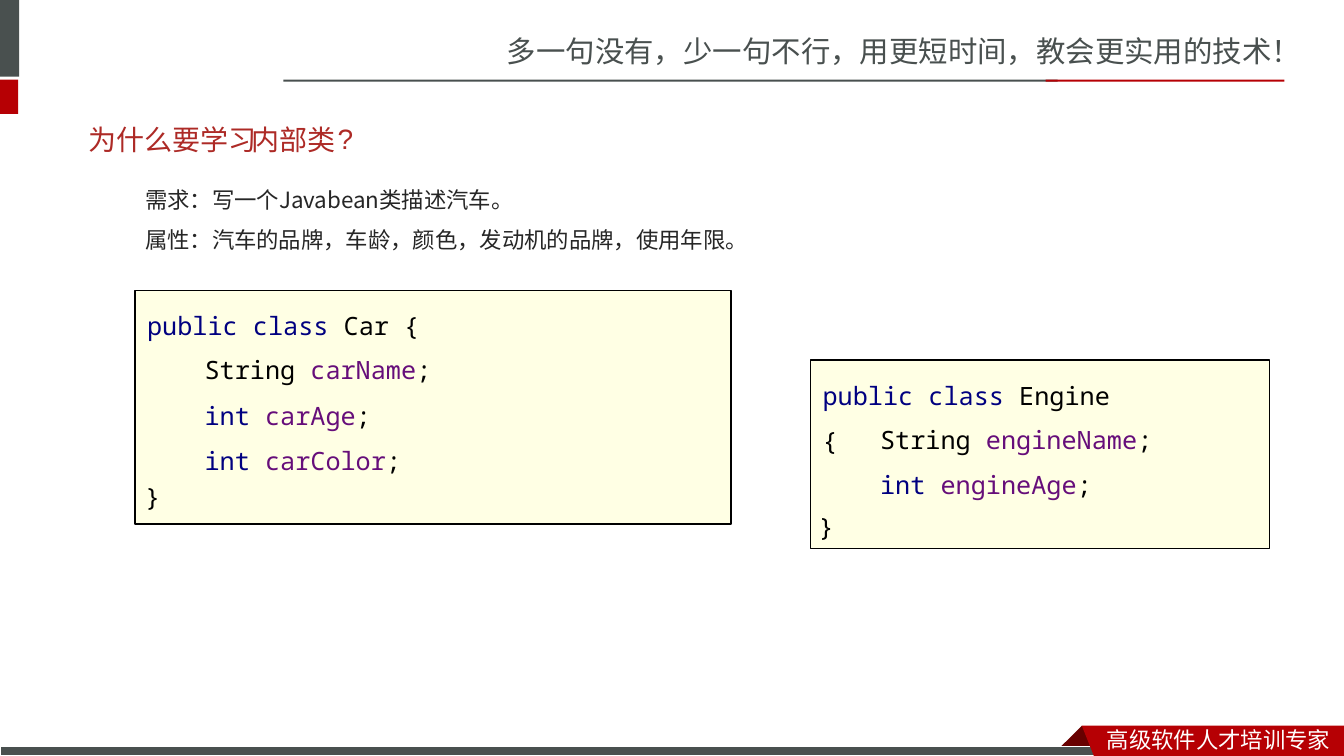
from dataclasses import dataclass

from lxml import etree
from pptx import Presentation
from pptx.dml.color import RGBColor
from pptx.enum import shapes, text
from pptx.oxml import ns
from pptx.util import Inches, Pt

GREY = RGBColor(0x49, 0x50, 0x4F)
RED = RGBColor(0xB6, 0x00, 0x04)
DARK_RED = RGBColor(0x68, 0x00, 0x00)
TITLE_RED = RGBColor(0xAD, 0x2A, 0x26)
INK = RGBColor(0x26, 0x26, 0x26)
WHITE = RGBColor(0xFF, 0xFF, 0xFF)
BLACK = RGBColor(0x00, 0x00, 0x00)
CREAM = RGBColor(0xFF, 0xFF, 0xE4)
KEYWORD = RGBColor(0x00, 0x00, 0x80)
FIELD = RGBColor(0x66, 0x0E, 0x7A)

SANS = "Noto Sans CJK SC"
BODY = "Noto Sans CJK JP"
MONO = "Noto Sans Mono"

Box = tuple[float, float, float, float]
Line = list[tuple[str, RGBColor]]


@dataclass
class Bar:
    box: Box
    fill: RGBColor
    outline: RGBColor | None = None
    weight: float = 0.75


@dataclass
class Ribbon:
    points: list[tuple[float, float]]
    fill: RGBColor


@dataclass
class Label:
    box: Box
    lines: list[Line]
    font: str
    size: float
    spacing: float = 1.0
    anchor: text.MSO_ANCHOR = text.MSO_ANCHOR.TOP


@dataclass
class CodeCard:
    """A Java class on a panel; fields are (type, name) pairs."""
    box: Box
    class_name: str
    fields: list[tuple[str, str]]
    brace: tuple[float, float]


BARS = [
    Bar((0, 0, 0.19, 0.76), GREY),
    Bar((0, 0.79, 0.18, 0.34), RED),
    Bar((2.81, 0.79, 7.68, 0.02), GREY),
    Bar((10.37, 0.79, 2.37, 0.02), RED),
]
FOOTER_BAR = Bar((0, 7.41, 10.99, 0.09), GREY, WHITE)
RIBBON_FOLD = Ribbon([(10.73, 7.2), (10.95, 7.42), (10.94, 7.43),
                      (10.52, 7.43), (10.51, 7.42)], DARK_RED)
RIBBON_FRONT = Ribbon([(10.73, 7.2), (13.33, 7.2), (13.33, 7.5), (10.85, 7.5)], RED)

MIDDLE = text.MSO_ANCHOR.MIDDLE
LABELS = [
    Label((4.93, 0.28, 8.4, 0.47),
          [[("多一句没有，少一句不行，用更短时间，教会更实用的技术！", GREY)]], SANS, 21),
    Label((10.88, 7.15, 2.45, 0.35), [[("高级软件人才培训专家", WHITE)]], SANS, 16),
    Label((2.4, 1.1, 1.05, 0.57), [[("内部类", TITLE_RED)]], "Arial", 20, anchor=MIDDLE),
    Label((0.78, 1.1, 1.91, 0.57), [[("为什么要学习", TITLE_RED)]], "Arial", 20, anchor=MIDDLE),
    Label((3.25, 1.09, 0.47, 0.57), [[("?", TITLE_RED)]], "Arial", 20, anchor=MIDDLE),
    Label((1.34, 1.66, 8.38, 0.87),
          [[("需求：写一个Javabean类描述汽车。", INK)],
           [("属性：汽车的品牌，车龄，颜色，发动机的品牌，使用年限。", INK)]], BODY, 16, 1.5),
]
CARDS = [
    CodeCard((8.04, 3.57, 4.55, 1.87), "Engine",
             [("String", "engineName"), ("int", "engineAge")], (8.02, 5.02)),
    CodeCard((1.34, 2.88, 5.91, 2.32), "Car",
             [("String", "carName"), ("int", "carAge"), ("int", "carColor")], (1.34, 4.73)),
]


def paint(shape, fill: RGBColor, outline: RGBColor | None = None, weight: float = 0.75) -> None:
    shape.shadow.inherit = False
    shape.fill.solid()
    shape.fill.fore_color.rgb = fill
    if outline is None:
        shape.line.fill.background()
    else:
        shape.line.color.rgb = outline
        shape.line.width = Pt(weight)


def draw_bar(page, bar: Bar) -> None:
    place = [Inches(value) for value in bar.box]
    shape = page.shapes.add_shape(shapes.MSO_SHAPE.RECTANGLE, *place)
    paint(shape, bar.fill, bar.outline, bar.weight)


def draw_ribbon(page, ribbon: Ribbon) -> None:
    points = [(Inches(x), Inches(y)) for x, y in ribbon.points]
    builder = page.shapes.build_freeform(*points[0], scale=1.0)
    builder.add_line_segments(points[1:], close=True)
    paint(builder.convert_to_shape(), ribbon.fill)


def draw_label(page, label: Label) -> None:
    frame = page.shapes.add_textbox(*[Inches(value) for value in label.box]).text_frame
    frame.word_wrap = True
    frame.vertical_anchor = label.anchor
    for index, line in enumerate(label.lines):
        para = frame.add_paragraph() if index else frame.paragraphs[0]
        para.line_spacing = label.spacing
        for words, color in line:
            span = para.add_run()
            span.text = words
            for name, value in {"name": label.font, "size": Pt(label.size)}.items():
                setattr(span.font, name, value)
            span.font.color.rgb = color
            east_asian = etree.SubElement(span.font._element, ns.qn("a:ea"))
            east_asian.set("typeface", label.font)


def draw_card(page, card: CodeCard) -> None:
    left, top, _, _ = card.box
    draw_bar(page, Bar(card.box, CREAM, BLACK, 1))
    heading = [("public class ", KEYWORD), (f"{card.class_name} {{", BLACK)]
    fields = [[(f"{kind} ", KEYWORD if kind == "int" else BLACK), (name, FIELD), (";", BLACK)]
              for kind, name in card.fields]
    draw_label(page, Label((left + 0.02, top, 3.21, 0.51), [heading], MONO, 18, 1.5))
    draw_label(page, Label((*card.brace, 0.43, 0.4), [[("}", BLACK)]], MONO, 18))
    draw_label(page, Label((left + 0.59, top + 0.44, 4.39, 0.05 + 0.46 * len(fields)),
                           fields, MONO, 18, 1.5))


def main() -> None:
    deck = Presentation()
    deck.slide_width, deck.slide_height = Inches(13.33), Inches(7.5)
    page = deck.slides.add_slide(deck.slide_layouts[6])
    for bar in BARS:
        draw_bar(page, bar)
    draw_ribbon(page, RIBBON_FOLD)
    draw_bar(page, FOOTER_BAR)
    draw_ribbon(page, RIBBON_FRONT)
    for label in LABELS:
        draw_label(page, label)
    for card in CARDS:
        draw_card(page, card)
    deck.save("out.pptx")


if __name__ == "__main__":
    main()
